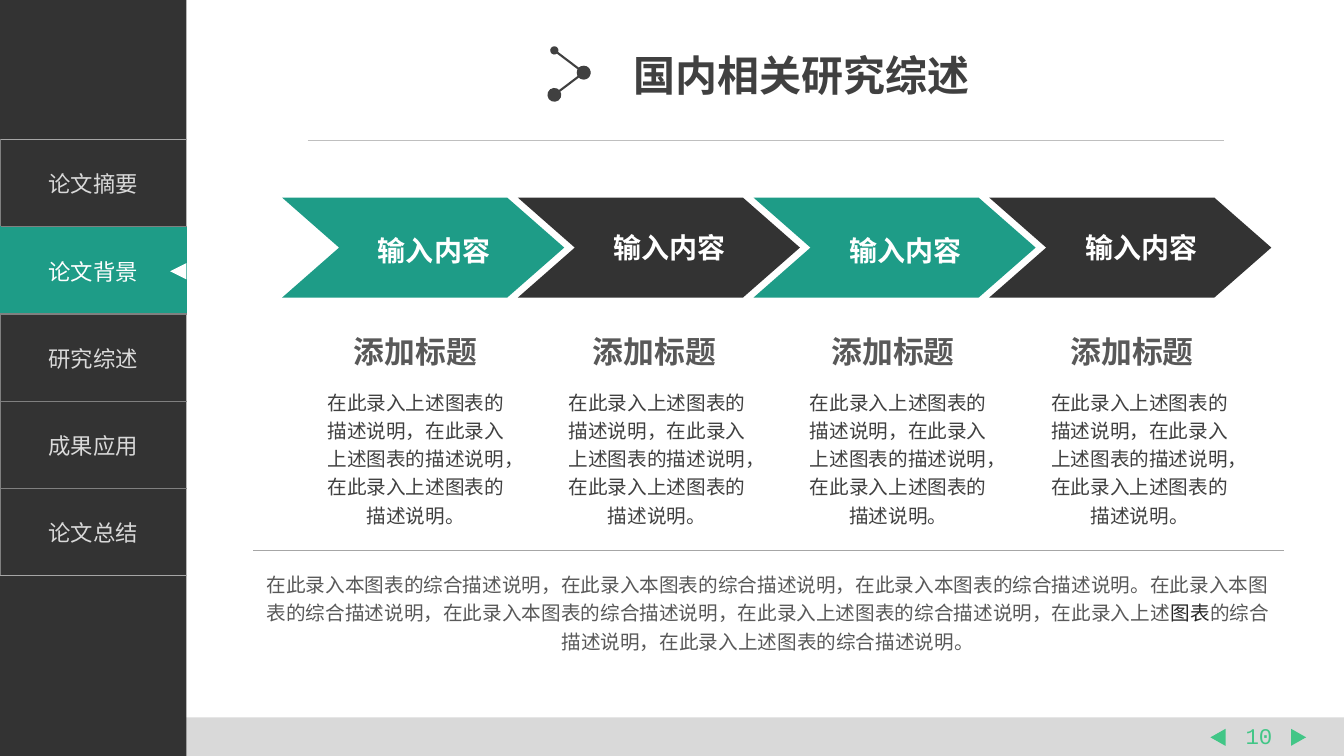
import pptx
import pptx.util
import pptx.dml.color
import pptx.enum.shapes
import pptx.enum.text
import pptx.oxml.ns
from lxml import etree

Cm = pptx.util.Cm
Pt = pptx.util.Pt
RGBColor = pptx.dml.color.RGBColor
SHAPE = pptx.enum.shapes.MSO_SHAPE
ALIGN = pptx.enum.text.PP_ALIGN
ANCHOR = pptx.enum.text.MSO_ANCHOR
qn = pptx.oxml.ns.qn

WHITE = RGBColor(0xFF, 0xFF, 0xFF)
TEAL = RGBColor(0x1E, 0x9C, 0x87)
GREEN = RGBColor(0x42, 0xC6, 0x87)
DARK = RGBColor(0x33, 0x33, 0x33)
INK = RGBColor(0x26, 0x26, 0x26)
TEXT = RGBColor(0x40, 0x40, 0x40)
MUTED = RGBColor(0x59, 0x59, 0x59)
EDGE = RGBColor(0x80, 0x80, 0x80)
RULE = RGBColor(0xA6, 0xA6, 0xA6)
PALE_RULE = RGBColor(0xBF, 0xBF, 0xBF)
PALE = RGBColor(0xD9, 0xD9, 0xD9)

CJK = "Noto Sans CJK SC"
CHAPTERS = ["论文摘要", "论文背景", "研究综述", "成果应用", "论文总结"]
ACTIVE = "论文背景"
STEP_TEXT = "在此录入上述图表的描述说明，在此录入上述图表的描述说明，在此录入上述图表的描述说明。"
SUMMARY = [
    ("在此录入本图表的综合描述说明，在此录入本图表的综合描述说明，在此录入本图表的综合描述说明。"
     "在此录入本图表的综合描述说明，在此录入本图表的综合描述说明，在此录入上述图表的综合描述说明，"
     "在此录入上述", MUTED),
    ("图表", INK),
    ("的综合描述说明，在此录入上述图表的综合描述说明。", MUTED),
]


def format_run(r, size, color, font=CJK, bold=False):
    r.font.size = Pt(size)
    r.font.bold = bold
    r.font.color.rgb = color
    r.font.name = font
    etree.SubElement(r.font._element, qn("a:ea"), typeface=CJK)


def add_text(s, box, runs, size, font=CJK, bold=False, spacing=None,
             wrap=True, anchor=ANCHOR.TOP):
    tf = s.shapes.add_textbox(*map(Cm, box)).text_frame
    tf.word_wrap = wrap
    tf.vertical_anchor = anchor
    p = tf.paragraphs[0]
    p.alignment = ALIGN.CENTER
    p.line_spacing = spacing
    for text, color in runs:
        r = p.add_run()
        r.text = text
        format_run(r, size, color, font, bold)


def add_block(s, kind, box, color, rotation=0):
    sp = s.shapes.add_shape(kind, *map(Cm, box))
    sp.shadow.inherit = False
    sp.fill.solid()
    sp.fill.fore_color.rgb = color
    sp.line.fill.background()
    sp.rotation = rotation
    return sp


def add_line(s, start, end, color, width, dots=None):
    line = s.shapes.add_connector(pptx.enum.shapes.MSO_CONNECTOR.STRAIGHT,
                                  *map(Cm, start + end))
    line.line.color.rgb = color
    line.line.width = Pt(width)
    for tag, size in zip(("a:headEnd", "a:tailEnd"), dots or ()):
        etree.SubElement(line.line._get_or_add_ln(), qn(tag),
                         type="oval", w=size, len=size)
    etree.SubElement(line._element.spPr, qn("a:effectLst"))


def add_border(cell, side, color):
    ln = etree.SubElement(cell._tc.get_or_add_tcPr(), qn("a:ln" + side), w="12700")
    if color is None:
        etree.SubElement(ln, qn("a:noFill"))
    else:
        fill = etree.SubElement(ln, qn("a:solidFill"))
        etree.SubElement(fill, qn("a:srgbClr"), val=str(color))


def add_chapter_table(s):
    table = s.shapes.add_table(len(CHAPTERS), 1, 0, Cm(3.51), Cm(4.7), Cm(11)).table
    table.first_row = table.horz_banding = False
    for i, chapter in enumerate(CHAPTERS):
        active = chapter == ACTIVE
        cell = table.cell(i, 0)
        cell.text_frame.text = chapter
        cell.vertical_anchor = ANCHOR.MIDDLE
        p = cell.text_frame.paragraphs[0]
        p.alignment = ALIGN.CENTER
        format_run(p.runs[0], 16, WHITE if active else PALE)
        add_border(cell, "L", TEAL if active else EDGE)
        add_border(cell, "R", None)
        add_border(cell, "T", RULE if i == 0 else EDGE)
        add_border(cell, "B", RULE if i == len(CHAPTERS) - 1 else EDGE)
        if active:
            cell.fill.solid()
            cell.fill.fore_color.rgb = TEAL
        else:
            cell.fill.background()


def set_title(s, text):
    title = s.shapes.title
    title.left, title.top, title.width, title.height = map(Cm, (15.72, 1.12, 9.07, 1.55))
    tf = title.text_frame
    tf.text = text
    tf.auto_size = pptx.enum.text.MSO_AUTO_SIZE.NONE
    tf.word_wrap = False
    tf.vertical_anchor = ANCHOR.MIDDLE
    tf.paragraphs[0].alignment = ALIGN.LEFT
    format_run(tf.paragraphs[0].runs[0], 30, TEXT, "Arial", True)


def add_step(s, i):
    teal = i % 2 == 0
    left = 7.11 + 5.94 * i
    chevron = add_block(s, SHAPE.CHEVRON, (left, 4.98, 7.11, 2.52), TEAL if teal else DARK)
    chevron.adjustments[0] = 0.57
    add_text(s, (left + 0.82, 5.65, 6.02, 1.15), [("输入内容", WHITE)], 20, "Arial", True,
             spacing=1.2 if teal else None, anchor=ANCHOR.MIDDLE)
    add_text(s, (8.64 + 6.02 * i, 8.26, 3.66, 1.19), [("添加标题", MUTED)], 22,
             bold=True, wrap=False)
    add_text(s, (7.85 + 6.08 * i, 9.6, 5.26, 3.84), [(STEP_TEXT, TEXT)], 14, spacing=1.2)


def main():
    prs = pptx.Presentation()
    prs.slide_width, prs.slide_height = Cm(33.87), Cm(19.05)
    s = prs.slides.add_slide(prs.slide_layouts[5])

    # Footer with page number
    add_block(s, SHAPE.RECTANGLE, (0, 18.08, 33.87, 0.97), PALE)
    add_text(s, (31.12, 18.06, 1.22, 0.94), [("10", GREEN)], 16, "Courier New", wrap=False)
    for left, rotation in ((32.51, 90), (30.48, 270)):
        add_block(s, SHAPE.ISOSCELES_TRIANGLE, (left, 18.39, 0.43, 0.38), GREEN, rotation)

    # Chapter sidebar
    add_block(s, SHAPE.RECTANGLE, (0, 0, 4.7, 19.05), DARK)
    add_chapter_table(s)
    add_block(s, SHAPE.ISOSCELES_TRIANGLE, (4.29, 6.63, 0.41, 0.41), WHITE, 270)

    # Title with its mark
    set_title(s, "国内相关研究综述")
    add_line(s, (13.97, 1.27), (14.71, 1.83), TEXT, 1.5, ("med", "lg"))
    add_line(s, (14.71, 1.83), (13.97, 2.39), TEXT, 1.5, ("lg", "lg"))
    add_line(s, (7.75, 3.53), (30.84, 3.53), PALE_RULE, 0.5)

    # Process steps
    for i in range(4):
        add_step(s, i)

    # Summary
    add_line(s, (6.38, 13.87), (32.36, 13.87), RULE, 0.5)
    add_text(s, (6.32, 14.2, 26.06, 2.41), SUMMARY, 14, spacing=1.2)

    prs.save("out.pptx")


if __name__ == "__main__":
    main()
